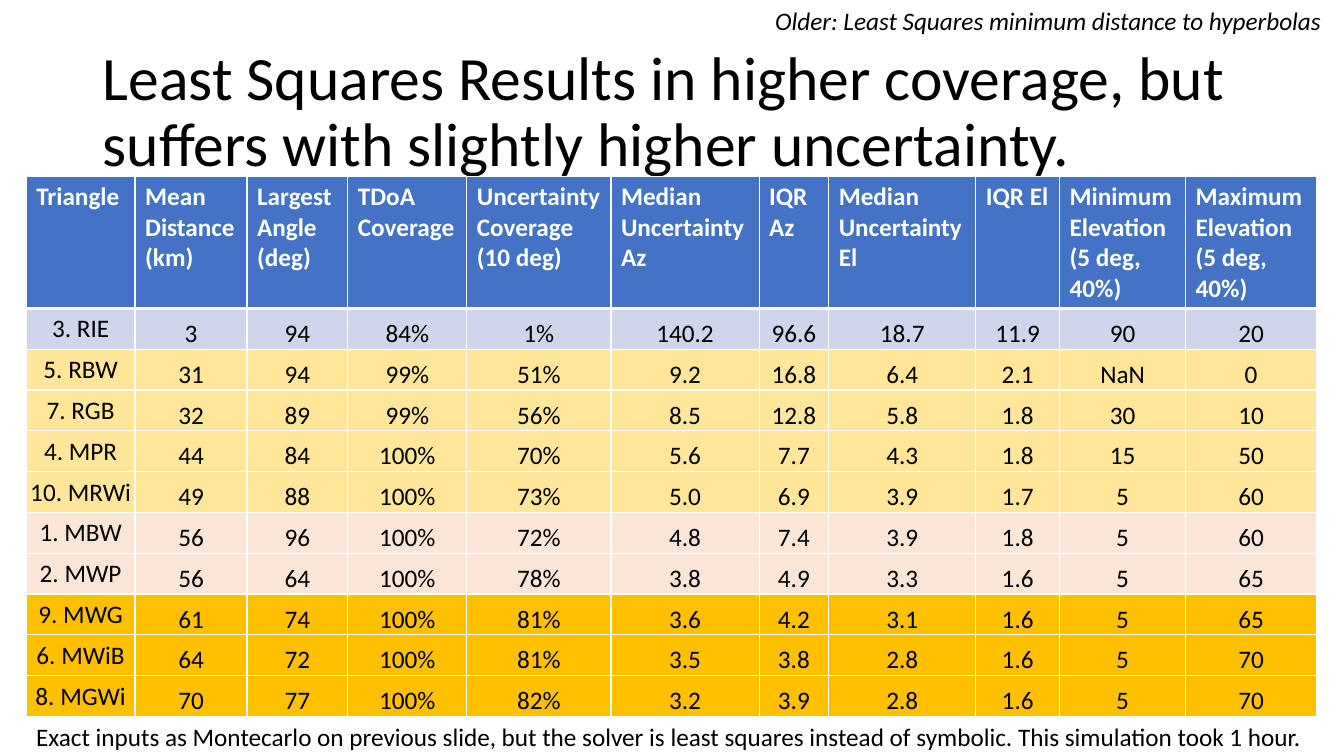
import pptx
import pptx.dml.color
import pptx.enum.text
import pptx.oxml
import pptx.oxml.ns
import pptx.util

Inches, Pt = pptx.util.Inches, pptx.util.Pt
ALIGN = pptx.enum.text.PP_ALIGN
ANCHOR = pptx.enum.text.MSO_ANCHOR

FONT = {"name": "Calibri", "size": Pt(18), "bold": False}
BLACK, WHITE, HEADER_BLUE = "000000", "FFFFFF", "4472C4"
LAVENDER, YELLOW, PEACH, GOLD = "CFD5EA", "FFE699", "FBE5D6", "FFC000"

COLUMN_WIDTHS = [1.08, 1.11, 1, 1.18, 1.43, 1.47, 0.69, 1.46, 0.83, 1.25, 1.3]
TABLE_HEIGHT, HEADER_HEIGHT = 5.36, 1.31

HEADERS = [
    "Triangle", "Mean Distance (km)", "Largest Angle (deg)", "TDoA Coverage",
    "Uncertainty Coverage\n(10 deg)", "Median Uncertainty Az", "IQR Az",
    "Median Uncertainty El", "IQR El", "Minimum Elevation (5 deg, 40%)",
    "Maximum Elevation (5 deg, 40%)",
]

# Row fill, triangle name, then the values of the other columns
TRIANGLES = [
    (LAVENDER, "3. RIE", "3 94 84% 1% 140.2 96.6 18.7 11.9 90 20"),
    (YELLOW, "5. RBW", "31 94 99% 51% 9.2 16.8 6.4 2.1 NaN 0"),
    (YELLOW, "7. RGB", "32 89 99% 56% 8.5 12.8 5.8 1.8 30 10"),
    (YELLOW, "4. MPR", "44 84 100% 70% 5.6 7.7 4.3 1.8 15 50"),
    (YELLOW, "10. MRWi", "49 88 100% 73% 5.0 6.9 3.9 1.7 5 60"),
    (PEACH, "1. MBW", "56 96 100% 72% 4.8 7.4 3.9 1.8 5 60"),
    (PEACH, "2. MWP", "56 64 100% 78% 3.8 4.9 3.3 1.6 5 65"),
    (GOLD, "9. MWG", "61 74 100% 81% 3.6 4.2 3.1 1.6 5 65"),
    (GOLD, "6. MWiB", "64 72 100% 81% 3.5 3.8 2.8 1.6 5 70"),
    (GOLD, "8. MGWi", "70 77 100% 82% 3.2 3.9 2.8 1.6 5 70"),
]


def rgb(color):
    return pptx.dml.color.RGBColor.from_string(color)


def set_attributes(obj, values):
    for name, value in values.items():
        setattr(obj, name, value)


def write_text(tf, text, color, font=None, paragraph=None):
    tf.text = text
    for p in tf.paragraphs:
        set_attributes(p, paragraph or {})
        for r in p.runs:
            set_attributes(r.font, {**FONT, **(font or {})})
            r.font.color.rgb = rgb(color)


def add_text(slide, text, box, font=None, paragraph=None, anchor=ANCHOR.TOP):
    sp = slide.shapes.add_textbox(*map(Inches, box))
    set_attributes(sp.text_frame, {"word_wrap": True, "vertical_anchor": anchor})
    write_text(sp.text_frame, text, BLACK, font, paragraph)


def set_borders(cell, **widths):
    tc_pr = cell._tc.get_or_add_tcPr()
    for side in "LRTB":
        width = int(Pt(widths.get(side, 1)))
        tc_pr.append(pptx.oxml.parse_xml(
            f'<a:ln{side} {pptx.oxml.ns.nsdecls("a")} w="{width}"><a:solidFill>'
            f'<a:srgbClr val="{WHITE}"/></a:solidFill></a:ln{side}>'))


def fill_cell(cell, color):
    cell.fill.solid()
    cell.fill.fore_color.rgb = rgb(color)


def add_header_cell(cell, text):
    write_text(cell.text_frame, text, WHITE, {"bold": True})
    set_borders(cell, B=3)
    fill_cell(cell, HEADER_BLUE)


def add_body_cell(cell, text, color, anchor, top_width):
    margin = Inches(0.01)
    set_attributes(cell, {"margin_left": margin, "margin_right": margin,
                          "margin_top": margin, "margin_bottom": 0,
                          "vertical_anchor": anchor})
    write_text(cell.text_frame, text, BLACK, paragraph={"alignment": ALIGN.CENTER})
    set_borders(cell, T=top_width)
    fill_cell(cell, color)


def add_results_table(slide):
    table = slide.shapes.add_table(
        len(TRIANGLES) + 1, len(HEADERS),
        *map(Inches, (0.26, 1.75, 12.8, TABLE_HEIGHT))).table
    table.horz_banding = False
    for column, width in zip(table.columns, COLUMN_WIDTHS):
        column.width = Inches(width)
    for row in table.rows:
        row.height = Inches((TABLE_HEIGHT - HEADER_HEIGHT) / len(TRIANGLES))
    table.rows[0].height = Inches(HEADER_HEIGHT)

    for col, header in enumerate(HEADERS):
        add_header_cell(table.cell(0, col), header)
    for row, (color, name, values) in enumerate(TRIANGLES, start=1):
        for col, text in enumerate([name, *values.split()]):
            anchor = ANCHOR.BOTTOM if col else ANCHOR.MIDDLE
            add_body_cell(table.cell(row, col), text, color, anchor,
                          3 if row == 1 else 1)


def main():
    prs = pptx.Presentation()
    prs.slide_width, prs.slide_height = Inches(13.33), Inches(7.5)
    slide = prs.slides.add_slide(prs.slide_layouts[6])

    # Title
    add_text(slide, "Least Squares Results in higher coverage, but suffers with "
             "slightly higher uncertainty.", (0.92, 0.4, 11.5, 1.45),
             {"size": Pt(44)}, {"line_spacing": 0.9}, ANCHOR.MIDDLE)

    # Results by triangle
    add_results_table(slide)

    # Footnote and method label
    add_text(slide, "Exact inputs as Montecarlo on previous slide, but the solver is "
             "least squares instead of symbolic. This simulation took 1 hour.",
             (0.26, 7.11, 12.8, 0.4))
    add_text(slide, "Older: Least Squares minimum distance to hyperbolas",
             (7.59, 0, 5.75, 0.4), {"italic": True})

    prs.save("out.pptx")


if __name__ == "__main__":
    main()
